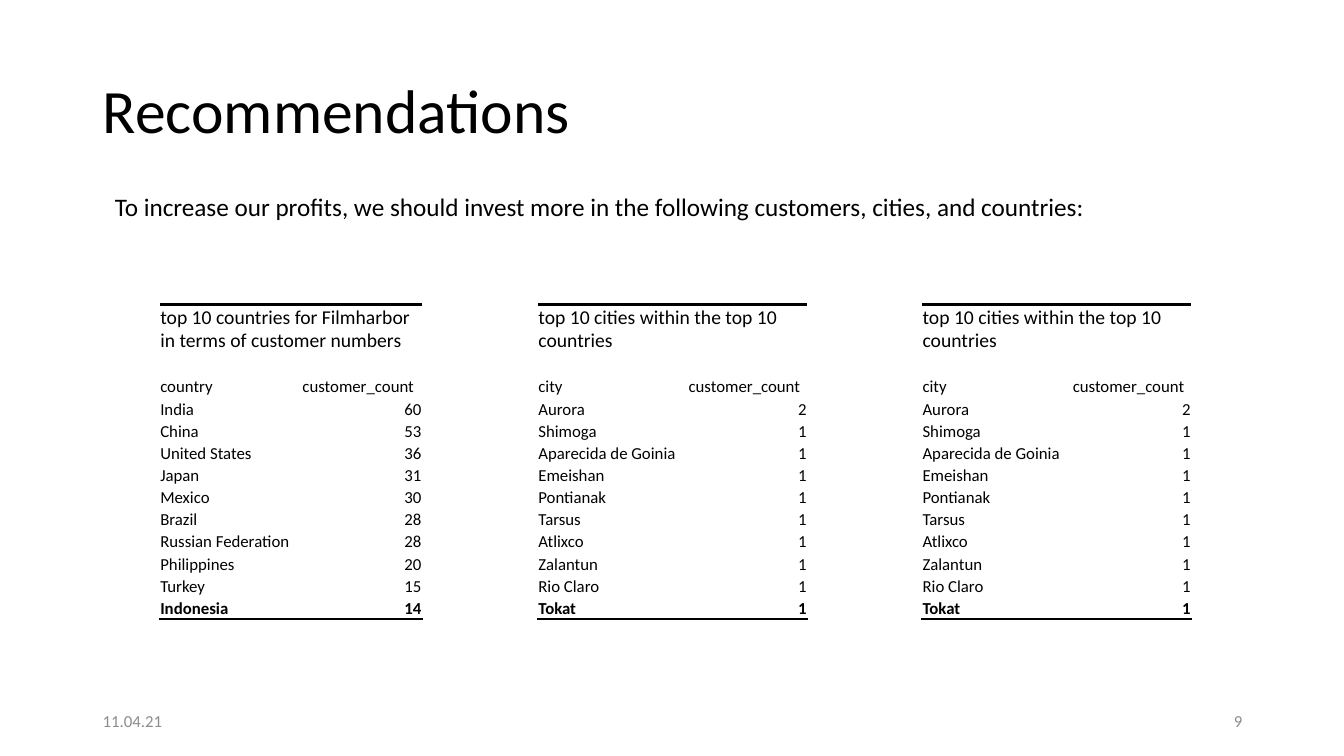
from pptx import Presentation, util as u
from pptx.dml.color import RGBColor
from pptx.enum import text
from pptx.oxml import parse_xml
from pptx.oxml.ns import nsdecls

LEFT, RIGHT = text.PP_ALIGN.LEFT, text.PP_ALIGN.RIGHT
MIDDLE, BOTTOM, TOP = (text.MSO_ANCHOR.MIDDLE, text.MSO_ANCHOR.BOTTOM,
                       text.MSO_ANCHOR.TOP)


def rgb(value):
    return RGBColor.from_string(value)


def assign(obj, values):
    for name, value in values.items():
        setattr(obj, name, value)


class Deck:
    """Hold the style and the current slide, and add elements to it."""
    font, ink, grey, paper = "Calibri", "000000", "8C8C8C", "FFFFFF"

    def __init__(self, prs):
        self.s = prs.slides.add_slide(prs.slide_layouts[5])

    def add_words(self, tf, words, size, color=None, align=LEFT, bold=False,
                  spacing=1.0):
        p = tf.paragraphs[0]
        assign(p, {"alignment": align, "line_spacing": spacing})
        r = p.add_run()
        r.text = words
        assign(r.font, {"name": self.font, "size": u.Pt(size), "bold": bold})
        r.font.color.rgb = rgb(color or self.ink)

    def place(self, sp, box, anchor):
        assign(sp, dict(zip(("left", "top", "width", "height"), map(u.Inches, box))))
        assign(sp.text_frame, {"word_wrap": True, "vertical_anchor": anchor,
                               "auto_size": text.MSO_AUTO_SIZE.NONE})
        return sp.text_frame

    def title(self, words, box):
        tf = self.place(self.s.shapes.title, box, MIDDLE)
        self.add_words(tf, words, 44, spacing=0.9)

    def label(self, words, box, size, anchor=MIDDLE, **style):
        sp = self.s.shapes.add_textbox(*map(u.Inches, box))
        self.add_words(self.place(sp, box, anchor), words, size, **style)

    def border(self, cell, side):
        cell._tc.get_or_add_tcPr().insert(0, parse_xml(
            f'<a:{side} {nsdecls("a")} w="25400"><a:solidFill>'
            f'<a:srgbClr val="{self.ink}"/></a:solidFill></a:{side}>'))

    def table(self, left, top, widths, heading, rows):
        heights = [0.48] + [0.22] * (len(rows) + 1)
        frame = self.s.shapes.add_table(
            len(heights), len(widths),
            *map(u.Inches, (left, top, sum(widths), sum(heights))))
        tbl = frame.table
        assign(tbl, {"first_row": False, "horz_banding": False})
        for column, width in zip(tbl.columns, widths):
            column.width = u.Inches(width)
        for row, height in zip(tbl.rows, heights):
            row.height = u.Inches(height)
        for cell in tbl.iter_cells():
            cell.fill.solid()
            cell.fill.fore_color.rgb = rgb(self.paper)
            assign(cell, {"vertical_anchor": BOTTOM, "margin_left": u.Inches(0.01),
                          "margin_right": u.Inches(0.01),
                          "margin_top": u.Inches(0.01), "margin_bottom": 0})
        tbl.cell(0, 0).merge(tbl.cell(0, 1))
        self.add_words(tbl.cell(0, 0).text_frame, heading, 14)
        last = len(heights) - 1
        for c in range(len(widths)):
            self.border(tbl.cell(0, c), "lnT")
            self.border(tbl.cell(last, c), "lnB")
            spacer = tbl.cell(1, c).text_frame.paragraphs[0]
            spacer._p.get_or_add_endParaRPr().set("sz", "1200")
        for i, row in enumerate(rows, 2):
            for c, value in enumerate(row):
                self.add_words(tbl.cell(i, c).text_frame, str(value), 12,
                               align=RIGHT if isinstance(value, int) else LEFT,
                               bold=i == last)


COUNTRIES = [("country", "customer_count"), ("India", 60), ("China", 53),
             ("United States", 36), ("Japan", 31), ("Mexico", 30), ("Brazil", 28),
             ("Russian Federation", 28), ("Philippines", 20), ("Turkey", 15),
             ("Indonesia", 14)]
CITIES = [("city", "customer_count"), ("Aurora", 2)] + [
    (city, 1) for city in ("Shimoga", "Aparecida de Goinia", "Emeishan", "Pontianak",
                           "Tarsus", "Atlixco", "Zalantun", "Rio Claro", "Tokat")]

prs = Presentation()
assign(prs, {"slide_width": u.Inches(13.33), "slide_height": u.Inches(7.5)})
deck = Deck(prs)
deck.title("Recommendations", (0.92, 0.4, 11.91, 1.45))
deck.label("To increase our profits, we should invest more in the following "
           "customers, cities, and countries:", (1.04, 1.85, 10.78, 0.4), 18, TOP)
deck.table(1.58, 3.02, (1.41, 1.2),
           "top 10 countries for Filmharbor in terms of customer numbers", COUNTRIES)
for left in (5.33, 9.14):
    deck.table(left, 3.02, (1.49, 1.19),
               "top 10 cities within the top 10 countries", CITIES)
for words, left, align in (("11.04.21", 0.92, LEFT), ("9", 9.42, RIGHT)):
    deck.label(words, (left, 6.95, 3, 0.4), 12, color=deck.grey, align=align)
prs.save("out.pptx")
